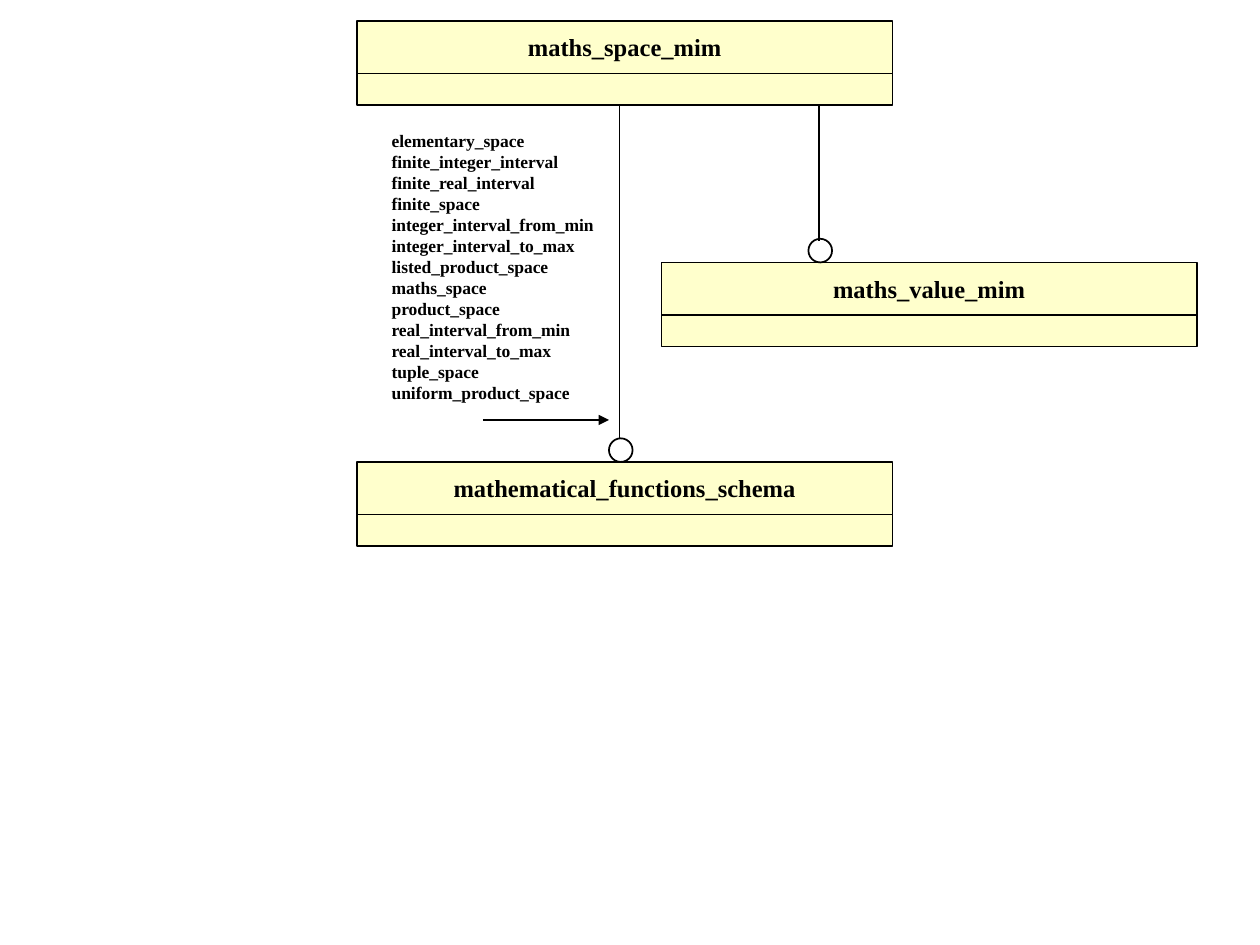
from dataclasses import dataclass
from typing import Any

import pptx
import pptx.dml.color
import pptx.enum.shapes
import pptx.enum.text
import pptx.oxml
import pptx.oxml.ns
import pptx.util

Pt = pptx.util.Pt
SHAPES = pptx.enum.shapes.MSO_SHAPE
TEXT = pptx.enum.text

BLACK, WHITE, CREAM = "000000", "FFFFFF", "FFFFCC"
BOX_WIDTH, NAME_HEIGHT, BODY_HEIGHT = 306, 30, 18
CIRCLE_SIZE = 13.5
ARROW_HEAD = {"type": "triangle"}


@dataclass
class SchemaBox:
    name: str
    left: float
    top: float

    @property
    def bottom(self) -> float:
        return self.top + NAME_HEIGHT + BODY_HEIGHT


@dataclass
class Line:
    start: tuple[float, float]
    end: tuple[float, float]
    arrow: bool = False


SPACE = SchemaBox("maths_space_mim", 204, 12)
FUNCTIONS = SchemaBox("mathematical_functions_schema", 204, 264)
VALUE = SchemaBox("maths_value_mim", 378, 150)

USED_TYPES = [
    "elementary_space",
    "finite_integer_interval",
    "finite_real_interval",
    "finite_space",
    "integer_interval_from_min",
    "integer_interval_to_max",
    "listed_product_space",
    "maths_space",
    "product_space",
    "real_interval_from_min",
    "real_interval_to_max",
    "tuple_space",
    "uniform_product_space",
]


def colour(value: str) -> pptx.dml.color.RGBColor:
    return pptx.dml.color.RGBColor.from_string(value)


def set_values(target: Any, values: dict[str, Any]) -> None:
    for name, value in values.items():
        setattr(target, name, value)


def write_text(frame: Any, lines: list[str], size: float, alignment: Any) -> None:
    """Fill a text frame with bold, unwrapped paragraphs."""
    frame.word_wrap = False
    for index, text in enumerate(lines):
        paragraph = frame.paragraphs[0] if index == 0 else frame.add_paragraph()
        paragraph.text = text
        paragraph.alignment = alignment
        set_values(paragraph.font, {"name": "Times New Roman", "size": Pt(size), "bold": True})
        paragraph.font.color.rgb = colour(BLACK)


def add_outlined(shapes: Any, kind: Any, left: float, top: float, width: float,
                 height: float, fill: str, line_width: float) -> Any:
    shape = shapes.add_shape(kind, Pt(left), Pt(top), Pt(width), Pt(height))
    shape.shadow.inherit = False
    shape.fill.solid()
    shape.fill.fore_color.rgb = colour(fill)
    shape.line.color.rgb = colour(BLACK)
    shape.line.width = Pt(line_width)
    return shape


def add_schema_box(slide: Any, box: SchemaBox) -> None:
    """Group a name compartment with the empty compartment below it."""
    group = slide.shapes.add_group_shape()
    heading = add_outlined(group.shapes, SHAPES.RECTANGLE, box.left, box.top,
                           BOX_WIDTH, NAME_HEIGHT, CREAM, 0.75)
    heading.text_frame.vertical_anchor = TEXT.MSO_ANCHOR.MIDDLE
    write_text(heading.text_frame, [box.name], 14, TEXT.PP_ALIGN.CENTER)
    add_outlined(group.shapes, SHAPES.RECTANGLE, box.left, box.top + NAME_HEIGHT,
                 BOX_WIDTH, BODY_HEIGHT, CREAM, 0.75)


def add_line(slide: Any, line: Line) -> None:
    connector = slide.shapes.add_connector(
        pptx.enum.shapes.MSO_CONNECTOR.STRAIGHT, *map(Pt, line.start + line.end))
    connector.line.color.rgb = colour(BLACK)
    connector.line.width = Pt(1)
    properties = connector._element.spPr
    if line.arrow:
        outline = connector.line._get_or_add_ln()
        outline.append(outline.makeelement(pptx.oxml.ns.qn("a:tailEnd"), ARROW_HEAD))
    properties.append(properties.makeelement(pptx.oxml.ns.qn("a:effectLst"), {}))


def add_reference_circle(slide: Any, left: float, box: SchemaBox) -> None:
    """Rest a small circle on the top edge of the referenced box."""
    add_outlined(slide.shapes, SHAPES.OVAL, left, box.top - CIRCLE_SIZE,
                 CIRCLE_SIZE, CIRCLE_SIZE, WHITE, 1)


def add_used_types(slide: Any) -> None:
    text_box = slide.shapes.add_textbox(Pt(216.7), Pt(70.5), Pt(129.6), Pt(163.5))
    text_box.text_frame.auto_size = TEXT.MSO_AUTO_SIZE.SHAPE_TO_FIT_TEXT
    write_text(text_box.text_frame, USED_TYPES, 10, TEXT.PP_ALIGN.LEFT)


def main() -> None:
    presentation = pptx.Presentation()
    set_values(presentation, {"slide_width": Pt(720), "slide_height": Pt(540)})
    slide = presentation.slides.add_slide(presentation.slide_layouts[6])

    add_schema_box(slide, SPACE)
    add_schema_box(slide, FUNCTIONS)
    add_line(slide, Line((354, FUNCTIONS.top - 12), (354, SPACE.bottom)))
    add_line(slide, Line((276, 240), (348, 240), arrow=True))
    add_used_types(slide)
    add_reference_circle(slide, 348, FUNCTIONS)
    add_schema_box(slide, VALUE)
    add_reference_circle(slide, 462, VALUE)
    add_line(slide, Line((468, SPACE.bottom), (468, VALUE.top - 12)))

    presentation.save("out.pptx")


if __name__ == "__main__":
    main()
